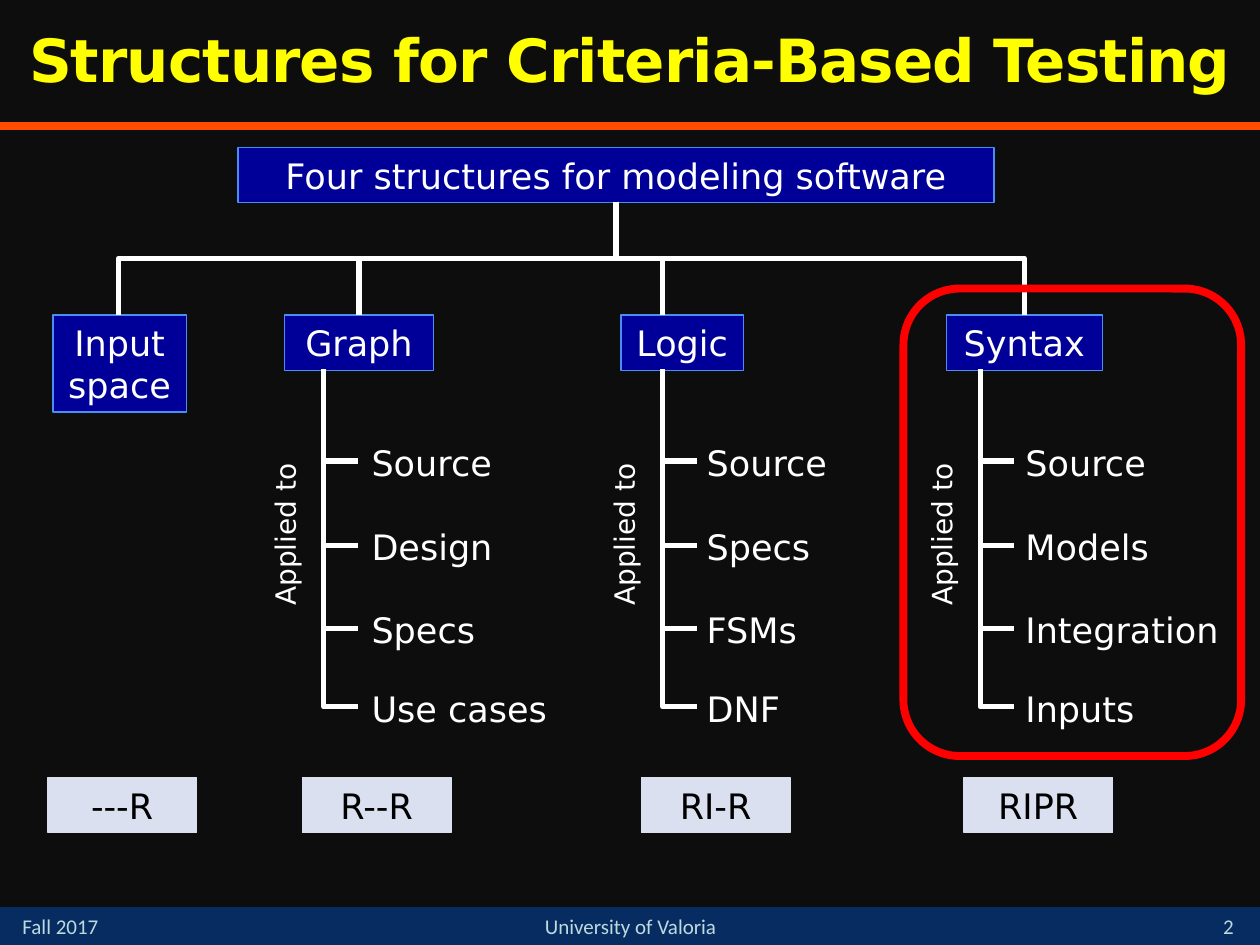
import pptx
import pptx.util
import pptx.dml.color
import pptx.enum.shapes
import pptx.enum.text
import pptx.oxml.ns
import lxml.etree

Inches = pptx.util.Inches
Pt = pptx.util.Pt
SHAPE = pptx.enum.shapes.MSO_SHAPE
LINK = pptx.enum.shapes.MSO_CONNECTOR
ALIGN = pptx.enum.text.PP_ALIGN
ANCHOR = pptx.enum.text.MSO_ANCHOR

COLORS = {
    "back": "0D0D0D", "foot": "072C62", "rule": "FF4C00", "pale": "BDDADF",
    "title": "FFFF00", "box": "000099", "edge": "4A8EF2", "white": "FFFFFF",
    "tag": "DAE0EF", "black": "000000", "mark": "FF0000",
}


def color(name):
    return pptx.dml.color.RGBColor.from_string(COLORS[name])


class Deck:
    """Holds the style and the current slide."""
    font = "DejaVu Sans"
    size = 20

    def __init__(self, show):
        self.slide = show.slides.add_slide(show.slide_layouts[6])
        fill = self.slide.background.fill
        fill.solid()
        fill.fore_color.rgb = color("back")

    def label(self, shape, text, ink="white", size=None, font=None,
              align=ALIGN.CENTER):
        frame = shape.text_frame
        frame.word_wrap = True
        frame.vertical_anchor = ANCHOR.MIDDLE
        para = frame.paragraphs[0]
        para.text = text
        para.alignment = align
        run = para.runs[0]
        run.font.size = Pt(size or self.size)
        run.font.name = font or self.font
        run.font.color.rgb = color(ink)
        return para

    def text(self, x, y, w, h, text, turn=0, **style):
        box = self.slide.shapes.add_textbox(
            Inches(x), Inches(y), Inches(w), Inches(h))
        box.rotation = turn
        return self.label(box, text, **style)

    def box(self, x, y, w, h, fill=None, edge=None, width=0.75,
            kind=SHAPE.RECTANGLE):
        shape = self.slide.shapes.add_shape(
            kind, Inches(x), Inches(y), Inches(w), Inches(h))
        shape.shadow.inherit = False
        if fill:
            shape.fill.solid()
            shape.fill.fore_color.rgb = color(fill)
        else:
            shape.fill.background()
        if edge:
            shape.line.color.rgb = color(edge)
            shape.line.width = Pt(width)
        else:
            shape.line.fill.background()
        return shape

    def node(self, x, y, w, h, text):
        self.label(self.box(x, y, w, h, "box", "edge"), text)

    def line(self, x1, y1, x2, y2, ink="white", width=3, kind=LINK.STRAIGHT):
        line = self.slide.shapes.add_connector(
            kind, Inches(x1), Inches(y1), Inches(x2), Inches(y2))
        line.line.color.rgb = color(ink)
        line.line.width = Pt(width)
        props = line._element.spPr
        lxml.etree.SubElement(props, pptx.oxml.ns.qn("a:effectLst"))
        return line

    def elbow(self, x1, y1, x2, y2, bends=2):
        """Leave downwards; an elbow is drawn sideways, then turned."""
        drop, side = y2 - y1, abs(x2 - x1)
        left = (x1 + x2 - drop) / 2
        top = (y1 + y2 - side) / 2
        ends = [left, left + drop]
        right = x2 > x1
        if right:
            ends.reverse()
        line = self.line(ends[0], top, ends[1], top + side, kind=LINK.ELBOW)
        line.rotation = 270 if right else 90
        if bends == 1:
            shape = line._element.spPr.find(pptx.oxml.ns.qn("a:prstGeom"))
            shape.set("prst", "bentConnector2")


def main():
    show = pptx.Presentation()
    show.slide_width, show.slide_height = Inches(10), Inches(7.5)
    deck = Deck(show)

    # Footer and rule
    deck.box(0, 7.2, 10, 0.3, "foot")
    deck.line(0, 1, 10, 1, "rule", 4.5)
    for x, w, text, align in (
            (0.08, 1.17, "Fall 2017", ALIGN.LEFT),
            (3.67, 2.67, "University of Valoria", ALIGN.CENTER),
            (9.5, 0.5, "2", ALIGN.CENTER)):
        deck.text(x, 7.2, w, 0.3, text, ink="pale", size=12,
                  font="Calibri", align=align)

    # Title
    title = deck.text(0, 0, 10, 1, "Structures for Criteria-Based Testing",
                      ink="title", size=34)
    title.line_spacing = 0.9
    run = title.runs[0]
    run.font.bold = True
    run._r.get_or_add_rPr().set("spc", "-50")

    # Root and the branch without uses
    deck.node(1.89, 1.17, 6, 0.44, "Four structures for modeling software")
    deck.node(0.42, 2.5, 1.06, 0.77, "Input space")

    # Branches: box left and width, stem, text left, name, uses
    rows = (3.66, 4.33, 4.99, 5.61)
    trees = (
        (2.26, 1.18, 2.57, 2.85, "Graph",
         ("Source", "Design", "Specs", "Use cases")),
        (4.93, 0.97, 5.26, 5.51, "Logic",
         ("Source", "Specs", "FSMs", "DNF")),
        (7.51, 1.24, 7.78, 8.04, "Syntax",
         ("Source", "Models", "Integration", "Inputs")),
    )
    for x, w, stem, left, name, uses in trees:
        deck.node(x, 2.5, w, 0.44, name)
        deck.text(stem - 1.12, 3.91, 1.62, 0.37, "Applied to", turn=270,
                  size=16, align=ALIGN.LEFT)
        for y, use in zip(rows, uses):
            deck.text(left, y - 0.21, 1.85, 0.44, use, align=ALIGN.LEFT)
            deck.elbow(stem, 2.93, stem + 0.27, y, bends=1)

    # Links from the root
    for x in (0.94, 2.85, 5.26, 8.13):
        deck.elbow(4.89, 1.6, x, 2.5)

    # Highlight around the last branch
    deck.box(7.17, 2.29, 2.68, 3.71, edge="mark", width=4.5,
             kind=SHAPE.ROUNDED_RECTANGLE)

    # Tags below the branches
    for x, text in ((0.38, "---R"), (2.4, "R--R"),
                    (5.09, "RI-R"), (7.65, "RIPR")):
        deck.label(deck.box(x, 6.17, 1.18, 0.44, "tag", "tag"), text,
                   ink="black")

    show.save("out.pptx")


if __name__ == "__main__":
    main()
